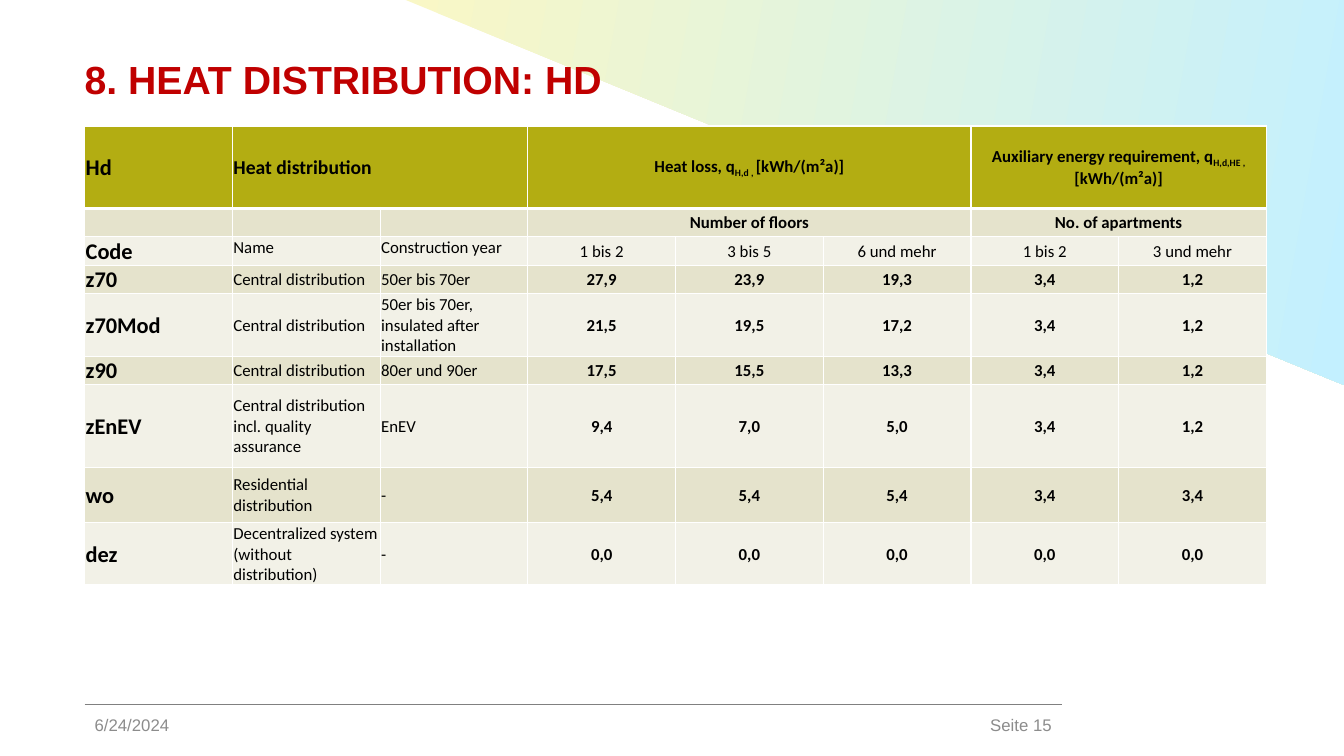
from lxml import etree
from pptx import Presentation
from pptx.dml.color import RGBColor as RGB
from pptx.enum.shapes import MSO_CONNECTOR as LINE, MSO_SHAPE as SHAPE
from pptx.enum.text import MSO_ANCHOR as ANCHOR, PP_ALIGN as ALIGN
from pptx.oxml.ns import qn
from pptx.util import Inches, Pt

COLORS = {
    "title": "C00000", "text": "000000", "footer": "8C8C8C", "rule": "808080",
    "head": "B3AD12", "dark": "E5E3CC", "light": "F2F1E7", "border": "FFFFFF",
    "yellow": "F9F7C6", "blue": "C3F0FF",
}
HEIGHTS = [0.82, 0.28, 0.28, 0.28, 0.55, 0.28, 0.82, 0.55, 0.55]
SPANS = [(0, 1, 2), (0, 3, 5), (0, 6, 7), (1, 3, 5), (1, 6, 7)]
# Text between bars is subscript.
ROWS = [
    ["Hd", "Heat distribution", "", "Heat loss, q|H,d , |[kWh/(m²a)]", "", "",
     "Auxiliary energy requirement, q|H,d,HE , |[kWh/(m²a)]", ""],
    ["", "", "", "Number of floors", "", "", "No. of apartments", ""],
    ["Code", "Name", "Construction year", "1 bis 2", "3 bis 5", "6 und mehr",
     "1 bis 2", "3 und mehr"],
    ["z70", "Central distribution", "50er bis 70er",
     "27,9", "23,9", "19,3", "3,4", "1,2"],
    ["z70Mod", "Central distribution",
     "50er bis 70er, insulated after installation",
     "21,5", "19,5", "17,2", "3,4", "1,2"],
    ["z90", "Central distribution", "80er und 90er",
     "17,5", "15,5", "13,3", "3,4", "1,2"],
    ["zEnEV", "Central distribution incl. quality assurance", "EnEV",
     "9,4", "7,0", "5,0", "3,4", "1,2"],
    ["wo", "Residential distribution", "-",
     "5,4", "5,4", "5,4", "3,4", "3,4"],
    ["dez", "Decentralized system (without distribution)", "-",
     "0,0", "0,0", "0,0", "0,0", "0,0"],
]


def color(name):
    return RGB.from_string(COLORS[name])


def style(para, name, size, tone, bold=False, align=ALIGN.LEFT):
    para.alignment = align
    font = para.font
    font.name, font.size, font.bold = name, Pt(size), bold
    font.color.rgb = color(tone)


def add_backdrop(slide, x, y, w, h):
    wedge = slide.shapes.add_shape(
        SHAPE.RIGHT_TRIANGLE, Inches(x), Inches(y), Inches(w), Inches(h))
    wedge.shadow.inherit = False
    wedge.line.fill.background()
    wedge.fill.gradient()
    wedge.fill.gradient_angle = 170
    for stop, tone in zip(wedge.fill.gradient_stops, ("yellow", "blue")):
        stop.color.rgb = color(tone)
    frame = wedge._element.spPr.find(qn("a:xfrm"))
    frame.set("flipH", "1")
    frame.set("flipV", "1")


def add_title(slide, x, y, w, h):
    title = slide.shapes.title
    title.left, title.top = Inches(x), Inches(y)
    title.width, title.height = Inches(w), Inches(h)
    frame = title.text_frame
    frame.margin_left = frame.margin_right = 0
    frame.margin_top = frame.margin_bottom = 0
    frame.vertical_anchor = ANCHOR.TOP
    frame.word_wrap = True
    frame.text = "8. HEAT DISTRIBUTION: HD"
    para = frame.paragraphs[0]
    para.line_spacing = 0.9
    style(para, "Arial", 28, "title", bold=True)


def add_footer(slide, x, y, w, h):
    rule = slide.shapes.add_connector(
        LINE.STRAIGHT, Inches(x), Inches(y), Inches(x + w), Inches(y))
    rule.line.color.rgb = color("rule")
    rule.line.width = Pt(0.5)
    etree.SubElement(rule._element.spPr, qn("a:effectLst"))
    wide = 1.8
    for left, text, align in ((x, "6/24/2024", ALIGN.LEFT),
                              (x + w - wide, "Seite 15", ALIGN.RIGHT)):
        box = slide.shapes.add_textbox(
            Inches(left), Inches(y), Inches(wide), Inches(h))
        frame = box.text_frame
        frame.word_wrap = True
        frame.vertical_anchor = ANCHOR.MIDDLE
        frame.text = text
        para = frame.paragraphs[0]
        para.space_after = Pt(6)
        style(para, "Arial", 12, "footer", align=align)


def add_borders(cell, row):
    props = cell._tc.get_or_add_tcPr()
    thick = {"T": row == 1, "B": row == 0}
    for side in "LRTB":
        width = Pt(3 if thick.get(side) else 1)
        line = etree.SubElement(props, qn("a:ln" + side), w=str(width))
        fill = etree.SubElement(line, qn("a:solidFill"))
        etree.SubElement(fill, qn("a:srgbClr"), val=COLORS["border"])


def fill_cell(cell, row, col, text):
    add_borders(cell, row)
    cell.fill.solid()
    band = "head" if row == 0 else "dark" if row % 2 else "light"
    cell.fill.fore_color.rgb = color(band)
    cell.margin_left = cell.margin_right = cell.margin_top = Inches(0.01)
    cell.margin_bottom = 0
    top = row == 2 and col < 3
    cell.vertical_anchor = ANCHOR.TOP if top else ANCHOR.MIDDLE
    para = cell.text_frame.paragraphs[0]
    for i, part in enumerate(text.split("|") if text else []):
        run = para.add_run()
        run.text = part
        if i % 2:
            run._r.get_or_add_rPr().set("baseline", "-25000")
    size = 16 if col == 0 else 14 if (row, col) == (0, 1) else 12
    bold = col == 0 or row < 2 or (col > 2 and row > 2)
    style(para, "Calibri", size, "text", bold,
          ALIGN.CENTER if col > 2 else ALIGN.LEFT)
    if not text:
        etree.SubElement(para._p, qn("a:endParaRPr"), sz="1200")


def add_grid(slide, x, y, w):
    count = len(ROWS[0])
    table = slide.shapes.add_table(
        len(ROWS), count, Inches(x), Inches(y), Inches(w),
        Inches(sum(HEIGHTS))).table
    for col in table.columns:
        col.width = Inches(w / count)
    for r, (height, texts) in enumerate(zip(HEIGHTS, ROWS)):
        table.rows[r].height = Inches(height)
        for c, text in enumerate(texts):
            fill_cell(table.cell(r, c), r, c, text)
    for row, first, last in SPANS:
        table.cell(row, first).merge(table.cell(row, last))


def main():
    deck = Presentation()
    deck.slide_width, deck.slide_height = Inches(13.33), Inches(7.5)
    slide = deck.slides.add_slide(deck.slide_layouts[5])
    add_backdrop(slide, 4, -0.01, 9.33, 3.83)
    # The title stands in front of the backdrop.
    tree = slide.shapes._spTree
    tree.append(slide.shapes.title._element)
    add_title(slide, 0.84, 0.6, 9.68, 0.39)
    add_grid(slide, 0.84, 1.25, 11.72)
    add_footer(slide, 0.84, 6.99, 9.69, 0.4)
    deck.save("out.pptx")


if __name__ == "__main__":
    main()
